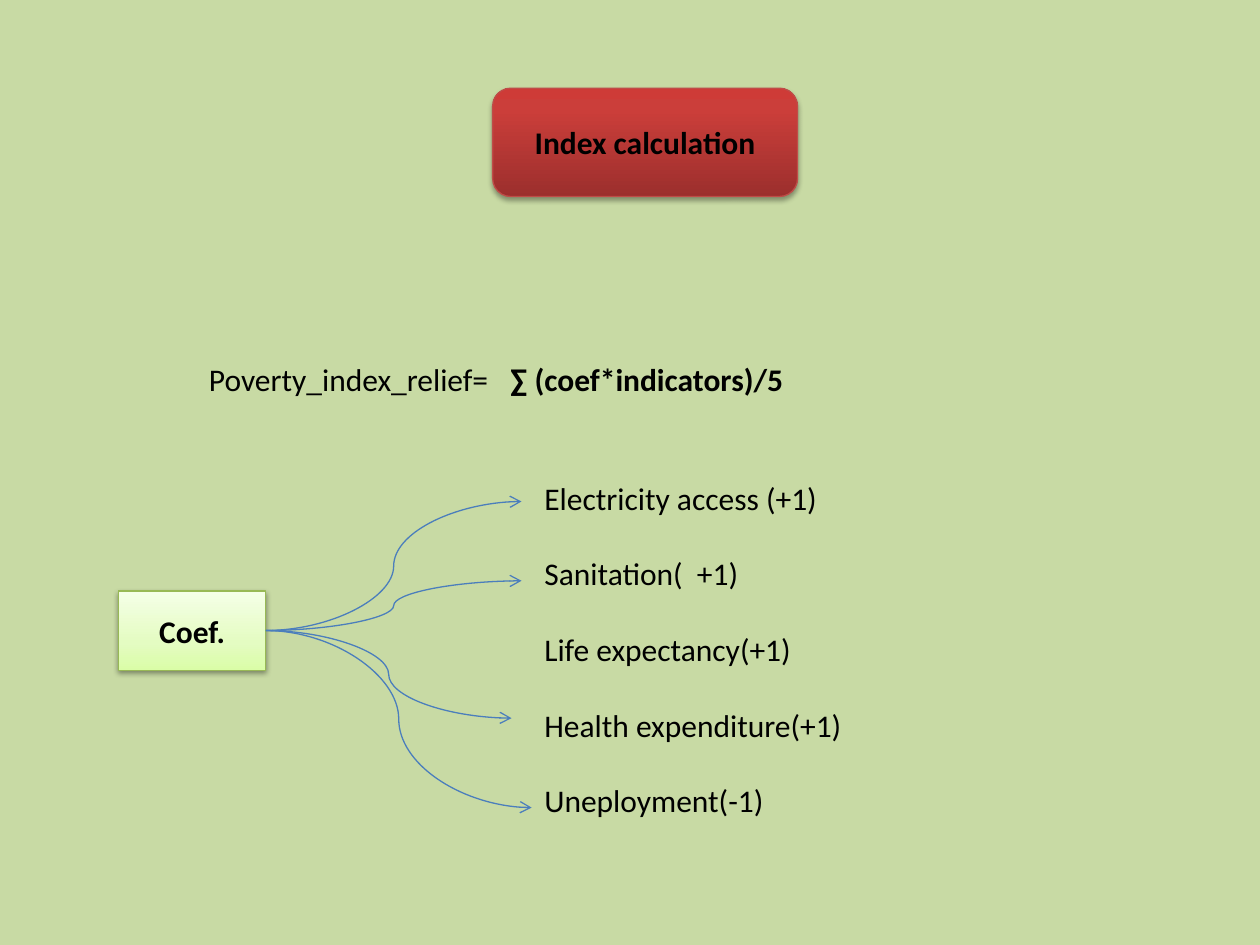
import collections

import pptx
import pptx.dml.color
import pptx.enum.shapes
import pptx.enum.text
import pptx.oxml
import pptx.oxml.ns
import pptx.util

COLORS = {
    "background": "C8DAA4",
    "text": "000000",
    "title_line": "BF4C48",
    "coef_line": "98B955",
    "arrow": "4B7EBC",
}
TITLE_STOPS = [(0, "9C2F2D"), (80, "CB3E3A"), (100, "CE3B37")]
COEF_STOPS = [(0, "DAFDA7"), (35, "E4FCC2"), (100, "F5FFE7")]
INDICATORS = ["Electricity access (+1)", "Sanitation(  +1)", "Life expectancy(+1)",
              "Health expenditure(+1)", "Uneployment(-1)"]
ARROW_TIPS = [(41.4, 53.07), (42.2, 85.47), (41.4, 61.47), (40.6, 76)]

# Boxes and points are percent shares of the slide's width and height
Box = collections.namedtuple("Box", "left top width height")
Shapes = pptx.enum.shapes.MSO_SHAPE
Anchor = pptx.enum.text.MSO_ANCHOR
Align = pptx.enum.text.PP_ALIGN

prs = pptx.Presentation()
prs.slide_width, prs.slide_height = pptx.util.Inches(10), pptx.util.Inches(7.5)


def across(share):
    return round(prs.slide_width * share / 100)


def down(share):
    return round(prs.slide_height * share / 100)


def lengths(box):
    return across(box.left), down(box.top), across(box.width), down(box.height)


def rgb(color):
    return pptx.dml.color.RGBColor.from_string(color)


def element(xml):
    return pptx.oxml.parse_xml(xml.replace(" ", f" {pptx.oxml.ns.nsdecls('a')} ", 1))


def place(placeholder, box):
    placeholder.left, placeholder.top, placeholder.width, placeholder.height = lengths(box)
    return placeholder


def write(paragraph, text, size=18, bold=False, align=Align.LEFT, before=0):
    run = paragraph.add_run()
    run.text = text
    run.font.name, run.font.size, run.font.bold = "Calibri", pptx.util.Pt(size), bold
    run.font.color.rgb = rgb(COLORS["text"])
    paragraph.alignment = align
    paragraph.space_before = pptx.util.Pt(before)


def glossy_panel(slide, box, preset, stops, line, shadow_alpha, shadow_distance):
    panel = slide.shapes.add_shape(preset, *lengths(box))
    panel.fill.gradient()
    panel.fill.gradient_angle = 90
    stop_list = panel._element.spPr.find(".//" + pptx.oxml.ns.qn("a:gsLst"))
    for old_stop in list(stop_list):
        stop_list.remove(old_stop)
    for position, color in stops:
        stop_list.append(element(
            f'<a:gs pos="{position * 1000}"><a:srgbClr val="{color}"/></a:gs>'))
    panel.line.color.rgb = rgb(line)
    panel.line.width = pptx.util.Pt(0.75)
    panel.shadow.inherit = False
    panel._element.spPr.find(pptx.oxml.ns.qn("a:effectLst")).append(element(
        f'<a:outerShdw blurRad="{pptx.util.Pt(3.1)}" dist="{pptx.util.Pt(shadow_distance)}" '
        f'dir="5400000" rotWithShape="0"><a:srgbClr val="000000">'
        f'<a:alpha val="{shadow_alpha * 1000}"/></a:srgbClr></a:outerShdw>'))
    return panel


def heading(slide, box):
    glossy_panel(slide, box, Shapes.ROUNDED_RECTANGLE, TITLE_STOPS,
                 COLORS["title_line"], 35, 1.8)
    title = place(slide.shapes.title, box)
    # Bring the title text in front of its panel
    slide.shapes._spTree.append(title._element)
    title.text_frame.vertical_anchor = Anchor.MIDDLE
    write(title.text_frame.paragraphs[0], "Index calculation", bold=True, align=Align.CENTER)


def formula(slide, box):
    frame = slide.shapes.add_textbox(*lengths(box)).text_frame
    frame.word_wrap = True
    equation = frame.paragraphs[0]
    write(equation, "Poverty_index_relief=\t")
    write(equation, "∑ (coef*indicators)/5", bold=True)
    # The sum starts at a tab stop
    equation._p.get_or_add_pPr().append(element(
        f'<a:tabLst ><a:tab pos="{across(23.9)}" algn="l"/></a:tabLst>'))


def indicator_list(slide, box):
    frame = place(slide.placeholders[1], box).text_frame
    frame.auto_size = pptx.enum.text.MSO_AUTO_SIZE.NONE
    for row, indicator in enumerate(INDICATORS):
        paragraph = frame.add_paragraph() if row else frame.paragraphs[0]
        write(paragraph, indicator, before=21.6 if row else 0)
        properties = paragraph._p.get_or_add_pPr()
        properties.set("marL", "0")
        properties.set("indent", "0")
        properties.append(element("<a:buNone />"))


def coefficient_fan(slide, box, tips):
    coef = glossy_panel(slide, box, Shapes.RECTANGLE, COEF_STOPS,
                        COLORS["coef_line"], 38, 1.6)
    coef.text_frame.vertical_anchor = Anchor.MIDDLE
    write(coef.text_frame.paragraphs[0], "Coef.", bold=True, align=Align.CENTER)
    start = across(box.left + box.width), down(box.top + box.height / 2)
    for tip_x, tip_y in tips:
        arrow = slide.shapes.add_connector(
            pptx.enum.shapes.MSO_CONNECTOR.CURVE, *start, across(tip_x), down(tip_y))
        arrow.line.color.rgb = rgb(COLORS["arrow"])
        arrow.line.width = pptx.util.Pt(0.75)
        arrow.line._get_or_add_ln().append(element('<a:tailEnd type="arrow"/>'))
        arrow._element.spPr.append(element("<a:effectLst />"))


slide = prs.slides.add_slide(prs.slide_layouts[1])
slide.background.fill.solid()
slide.background.fill.fore_color.rgb = rgb(COLORS["background"])

heading(slide, Box(39.1, 9.33, 24.2, 11.47))
formula(slide, Box(15.6, 37.47, 68.8, 5.33))
indicator_list(slide, Box(42.2, 50, 32.8, 53.87))
coefficient_fan(slide, Box(9.4, 62.53, 11.7, 8.4), ARROW_TIPS)

prs.save("out.pptx")
